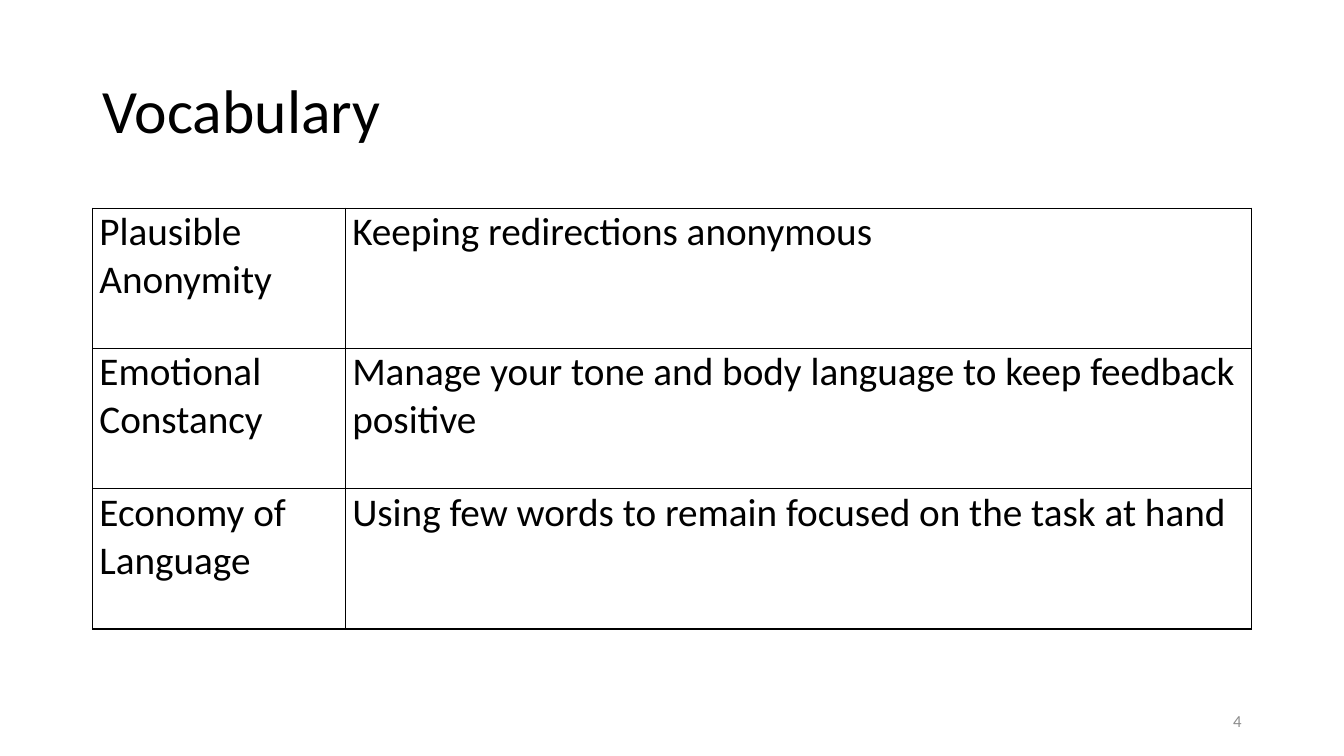
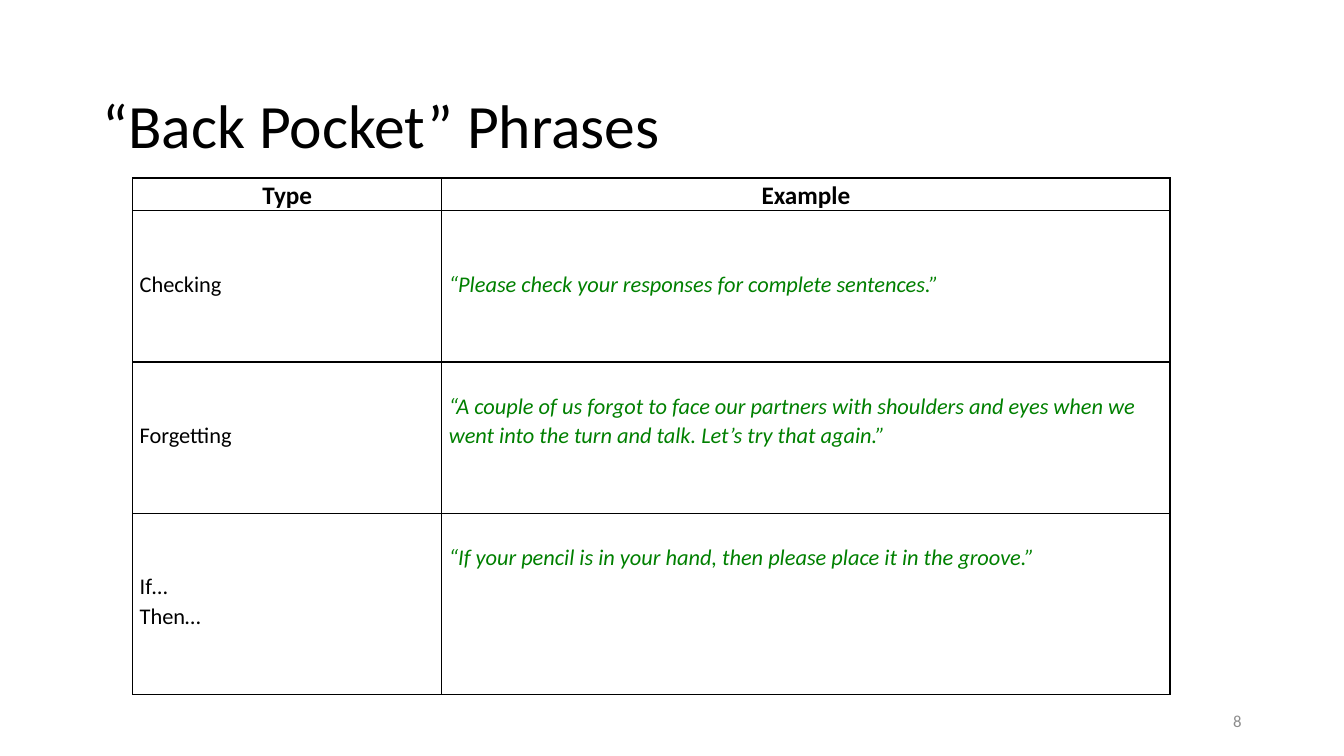
from lxml import etree
from pptx import Presentation
from pptx import util as u
from pptx.dml.color import RGBColor
from pptx.enum import text as t
from pptx.oxml.ns import qn

COLUMNS, ROWS = 160, 90
WIDTH, HEIGHT = u.Inches(13.33), u.Inches(7.5)
BLACK, GREY, GREEN, WHITE = "000000", "8C8C8C", "008000", "FFFFFF"
LEFT, CENTER, RIGHT = t.PP_ALIGN.LEFT, t.PP_ALIGN.CENTER, t.PP_ALIGN.RIGHT
TITLE_ONLY = 5


def color(hex_code):
    return RGBColor.from_string(hex_code)


def across(columns):
    return round(columns * WIDTH / COLUMNS)


def down(rows):
    return round(rows * HEIGHT / ROWS)


def write(frame, text, size, fill=BLACK, align=LEFT, spacing=1.0, bold=False, italic=False):
    """Fill a text frame, one paragraph for each line of text."""
    frame.word_wrap = True
    for index, line in enumerate(text.split("\n")):
        paragraph = frame.paragraphs[0] if index == 0 else frame.add_paragraph()
        paragraph.alignment = align
        paragraph.line_spacing = spacing
        run = paragraph.add_run()
        run.text = line
        font = run.font
        font.name, font.size = "Calibri", u.Pt(size)
        font.bold, font.italic = bold, italic
        font.color.rgb = color(fill)


def outline(cell, hex_code=BLACK, points=1):
    """Draw all four borders of a table cell."""
    properties = cell._tc.get_or_add_tcPr()
    for index, side in enumerate(("lnL", "lnR", "lnT", "lnB")):
        line = etree.Element(qn(f"a:{side}"), w=str(u.Pt(points)))
        solid = etree.SubElement(line, qn("a:solidFill"))
        etree.SubElement(solid, qn("a:srgbClr"), val=hex_code)
        properties.insert(index, line)


class Deck:
    """Holds the shared style and the current slide; lengths are grid units."""

    margin, content_width = 11, 138
    title_height, title_size = 17.4, 44
    cell_inset = u.Inches(0.07)

    def __init__(self):
        self.presentation = Presentation()
        self.presentation.slide_width = WIDTH
        self.presentation.slide_height = HEIGHT
        self.slide = None

    def add_slide(self, title, number, title_top):
        layout = self.presentation.slide_layouts[TITLE_ONLY]
        self.slide = self.presentation.slides.add_slide(layout)
        background = self.slide.background.fill
        background.solid()
        background.fore_color.rgb = color(WHITE)
        self.title(title, title_top)
        self.page_number(number)

    def title(self, text, top):
        shape = self.slide.shapes.title
        shape.left, shape.top = across(self.margin), down(top)
        shape.width, shape.height = across(self.content_width), down(self.title_height)
        shape.text_frame.vertical_anchor = t.MSO_ANCHOR.MIDDLE
        write(shape.text_frame, text, self.title_size, spacing=0.9)

    def page_number(self, number):
        width = 36
        left = self.margin + self.content_width - width
        shape = self.slide.shapes.add_textbox(across(left), down(83.4), across(width), down(4.8))
        shape.text_frame.vertical_anchor = t.MSO_ANCHOR.MIDDLE
        write(shape.text_frame, str(number), 12, fill=GREY, align=RIGHT)

    def table(self, left, top, widths, heights):
        frame = self.slide.shapes.add_table(
            len(heights), len(widths), across(left), down(top),
            across(sum(widths)), down(sum(heights)))
        table = frame.table
        table.first_row = table.horz_banding = False
        for column, width in zip(table.columns, widths):
            column.width = across(width)
        for row, height in zip(table.rows, heights):
            row.height = down(height)
        return table

    def cell(self, table, row, column, text, inset_top=0, **text_format):
        cell = table.cell(row, column)
        cell.margin_left = cell.margin_right = self.cell_inset
        cell.margin_top, cell.margin_bottom = down(inset_top), 0
        cell.fill.background()
        outline(cell)
        write(cell.text_frame, text, **text_format)


def vocabulary(deck):
    deck.add_slide("Vocabulary", 4, title_top=4.8)
    terms = [
        ("Plausible Anonymity", "Keeping redirections anonymous"),
        ("Emotional Constancy", "Manage your tone and body language to keep feedback positive"),
        ("Economy of Language", "Using few words to remain focused on the task at hand"),
    ]
    table = deck.table(deck.margin, 24.8, [30.1, 107.9], [16.7] * len(terms))
    for row, texts in enumerate(terms):
        for column, text in enumerate(texts):
            deck.cell(table, row, column, text, size=28)


def back_pocket_phrases(deck):
    deck.add_slide("“Back Pocket” Phrases", 8, title_top=6.6)
    line, spacing = 3.48, 1.07
    phrases = [
        ("Checking", "“Please check your responses for complete sentences.”", 2),
        ("Forgetting", "“A couple of us forgot to face our partners with shoulders and eyes "
                       "when we went into the turn and talk. Let’s try that again.”", 1),
        ("If…\nThen…", "“If your pencil is in your hand, then please place it in the groove.”", 1),
    ]
    table = deck.table(15.8, 21.2, [36.8, 86.7], [3.9, 18, 18, 21.6])
    for column, heading in enumerate(("Type", "Example")):
        deck.cell(table, 0, column, heading, size=18, bold=True, align=CENTER, spacing=spacing)
    for row, (kind, example, lines_above) in enumerate(phrases, start=1):
        deck.cell(table, row, 0, kind, inset_top=2 * line, size=16, spacing=spacing)
        deck.cell(table, row, 1, example, inset_top=lines_above * line, size=16,
                  fill=GREEN, italic=True, spacing=spacing)


def main():
    deck = Deck()
    vocabulary(deck)
    back_pocket_phrases(deck)
    deck.presentation.save("out.pptx")


if __name__ == "__main__":
    main()
